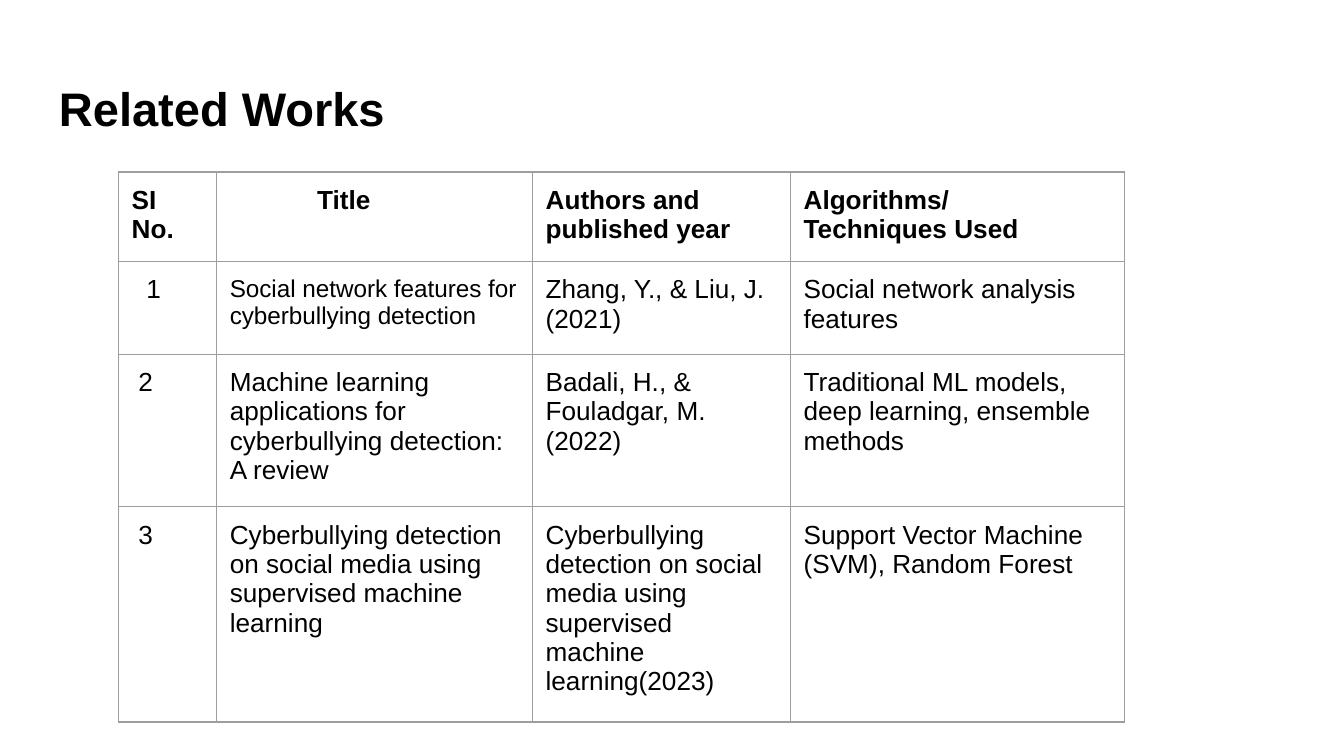
import lxml.etree
import pptx
import pptx.dml.color
import pptx.enum.text
import pptx.oxml.ns
import pptx.util

Inches = pptx.util.Inches
Pt = pptx.util.Pt
BLACK = pptx.dml.color.RGBColor(0x00, 0x00, 0x00)
GREY = pptx.dml.color.RGBColor(0x9E, 0x9E, 0x9E)

COLUMN_WIDTHS = [0.73, 2.35, 1.92, 2.49]
ROW_HEIGHTS = [0.65, 0.69, 1.1, 1.39]
HEADINGS = ["SI No.", "Title", "Authors and published year", "Algorithms/\nTechniques Used"]
WORKS = [
    ["1", "Social network features for cyberbullying detection",
     "Zhang, Y., & Liu, J.\n(2021)", "Social network analysis features"],
    ["2", "Machine learning applications for cyberbullying detection: A review",
     "Badali, H., & Fouladgar, M.(2022)",
     "Traditional ML models, deep learning, ensemble methods"],
    ["3", "Cyberbullying detection on social media using supervised machine learning",
     "Cyberbullying detection on social media using supervised machine learning(2023)",
     "Support Vector Machine (SVM), Random Forest"],
]
INDENTS = {(0, 1): 0.65, (1, 0): 0.11, (2, 0): 0.05, (3, 0): 0.05}
SIZES = {(1, 1): 13}


class SlideBuilder:
    font_name = "Arial"
    body_size = 14
    margin = Inches(0.1)

    def __init__(self, slide):
        self.slide = slide

    def style(self, paragraph, size, bold):
        font = paragraph.font
        font.name = self.font_name
        font.size = Pt(size)
        font.bold = bold
        font.color.rgb = BLACK

    def pad(self, holder):
        holder.margin_left = holder.margin_right = self.margin
        holder.margin_top = holder.margin_bottom = self.margin

    def title(self, text, left, top, width, height, size):
        frame = self.slide.shapes.add_textbox(
            Inches(left), Inches(top), Inches(width), Inches(height)).text_frame
        frame.word_wrap = True
        frame.vertical_anchor = pptx.enum.text.MSO_ANCHOR.MIDDLE
        self.pad(frame)
        frame.text = text
        self.style(frame.paragraphs[0], size, True)

    def border(self, cell):
        qn = pptx.oxml.ns.qn
        properties = cell._tc.get_or_add_tcPr()
        for side in ("lnL", "lnR", "lnT", "lnB"):
            line = lxml.etree.SubElement(properties, qn(f"a:{side}"), w=str(Pt(0.75)))
            fill = lxml.etree.SubElement(line, qn("a:solidFill"))
            lxml.etree.SubElement(fill, qn("a:srgbClr"), val=str(GREY))

    def cell(self, cell, text, size, bold, indent):
        self.pad(cell)
        self.border(cell)
        cell.fill.background()
        cell.text = text
        for paragraph in cell.text_frame.paragraphs:
            self.style(paragraph, size, bold)
            if indent:
                paragraph._p.get_or_add_pPr().set("marL", str(Inches(indent)))

    def table(self, rows, left, top, frame_side):
        side = Inches(frame_side)
        frame = self.slide.shapes.add_table(
            len(rows), len(COLUMN_WIDTHS), Inches(left), Inches(top), side, side)
        table = frame.table
        table.first_row = False
        table.horz_banding = False
        for column, width in zip(table.columns, COLUMN_WIDTHS):
            column.width = Inches(width)
        for row, height in zip(table.rows, ROW_HEIGHTS):
            row.height = Inches(height)
        frame.width = frame.height = side
        for r, texts in enumerate(rows):
            for c, text in enumerate(texts):
                self.cell(table.cell(r, c), text, SIZES.get((r, c), self.body_size),
                          r == 0, INDENTS.get((r, c), 0))


def main():
    deck = pptx.Presentation()
    deck.slide_width = Inches(10)
    deck.slide_height = deck.slide_width * 9 // 16
    builder = SlideBuilder(deck.slides.add_slide(deck.slide_layouts[6]))
    builder.title("Related Works", 0.34, 0.49, 9.32, 0.63, 25.2)
    builder.table([HEADINGS] + WORKS, 0.88, 1.28, 3.28)
    deck.save("out.pptx")


if __name__ == "__main__":
    main()
